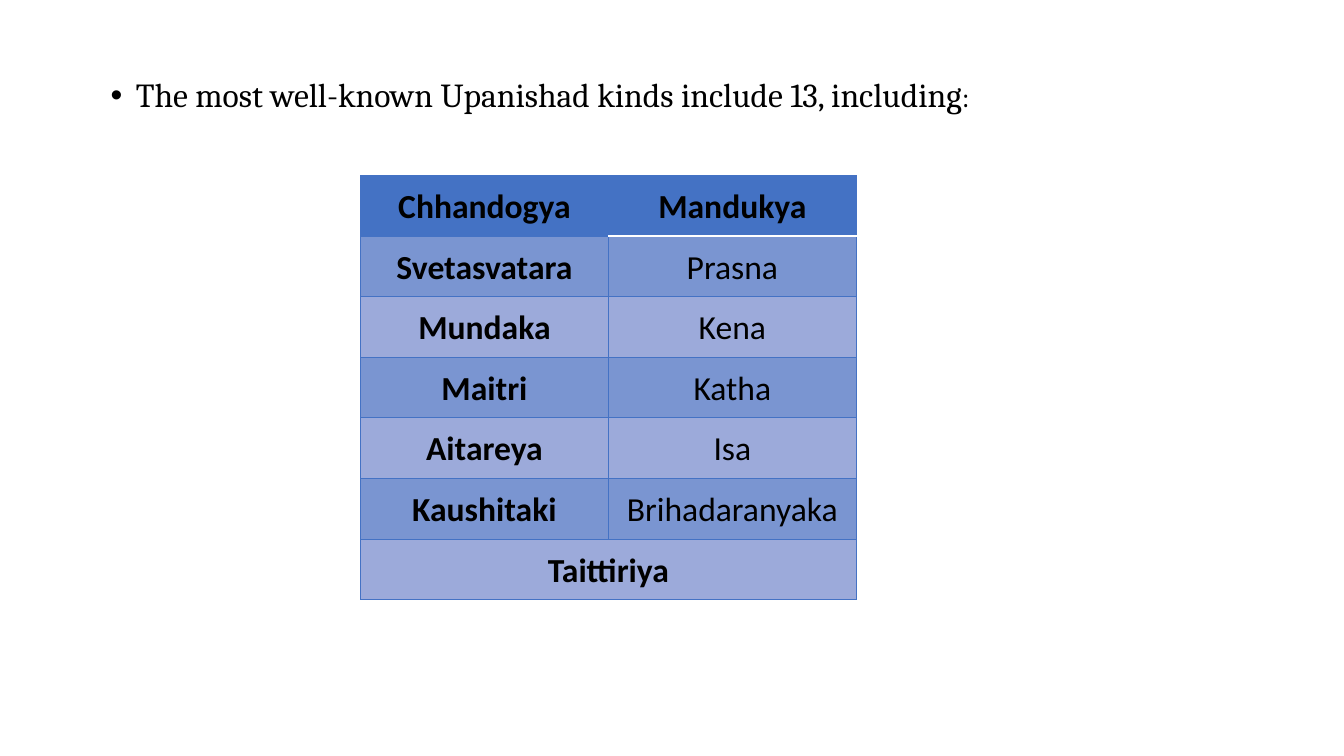
"""Build a slide that lists the best-known Upanishads in a table."""
from lxml.etree import SubElement
from pptx import Presentation
from pptx.dml.color import RGBColor
from pptx.enum.text import MSO_ANCHOR, PP_ALIGN
from pptx.oxml.ns import qn
from pptx.util import Pt

BLUE, BAND, LIGHT, WHITE, BLACK = "4472C4", "7A95D1", "9CAADA", "FFFFFF", "000000"

UPANISHADS = [
    ("Chhandogya", "Mandukya"),
    ("Svetasvatara", "Prasna"),
    ("Mundaka", "Kena"),
    ("Maitri", "Katha"),
    ("Aitareya", "Isa"),
    ("Kaushitaki", "Brihadaranyaka"),
    ("Taittiriya", ""),
]


def rgb(value):
    return RGBColor.from_string(value)


class SlideBuilder:
    def __init__(self, prs):
        self.s = prs.slides.add_slide(prs.slide_layouts[6])
        self.size = 24

    def style(self, font, name, size, bold=False):
        font.name, font.size, font.bold = name, Pt(size), bold
        font.color.rgb = rgb(BLACK)

    def bullet(self, x, y, w, h, parts):
        tf = self.s.shapes.add_textbox(Pt(x), Pt(y), Pt(w), Pt(h)).text_frame
        tf.word_wrap = True
        p = tf.paragraphs[0]
        p.line_spacing = 0.9
        pPr = p._p.get_or_add_pPr()
        pPr.set("marL", str(Pt(18)))
        pPr.set("indent", str(-Pt(18)))
        SubElement(pPr, qn("a:buFont"), typeface="Arial")
        SubElement(pPr, qn("a:buChar"), char="•")
        for text, size in parts:
            r = p.add_run()
            r.text = text
            self.style(r.font, "Cambria", size)

    def borders(self, cell, top, bottom):
        tcPr = cell._tc.get_or_add_tcPr()
        for side, color in zip("LRTB", (BLUE, BLUE, top, bottom)):
            width = Pt(1 if color == WHITE else 0.5)
            ln = SubElement(tcPr, qn(f"a:ln{side}"), w=str(width))
            SubElement(SubElement(ln, qn("a:solidFill")), qn("a:srgbClr"), val=color)

    def cell(self, cell, text, fill, bold, top, bottom):
        self.borders(cell, top, bottom)
        cell.fill.solid()
        cell.fill.fore_color.rgb = rgb(fill)
        cell.vertical_anchor = MSO_ANCHOR.MIDDLE
        cell.margin_left = cell.margin_right = Pt(12)
        cell.margin_top = cell.margin_bottom = Pt(5.76)
        if text:
            p = cell.text_frame.paragraphs[0]
            p.text = text
            p.alignment = PP_ALIGN.CENTER
            p.line_spacing = 1.07
            p.space_after = Pt(8)
            self.style(p.runs[0].font, "Calibri", self.size, bold)

    def table(self, x, y, col_w, row_h, rows):
        n, m = len(rows), len(rows[0])
        tbl = self.s.shapes.add_table(
            n, m, Pt(x), Pt(y), Pt(col_w * m), Pt(row_h * n)).table
        tbl.first_row = tbl.horz_banding = False
        for col in tbl.columns:
            col.width = Pt(col_w)
        for i, row in enumerate(rows):
            tbl.rows[i].height = Pt(row_h)
            fill = BLUE if i == 0 else BAND if i % 2 else LIGHT
            for j, text in enumerate(row):
                top = WHITE if (i, j) == (1, 1) else BLUE
                bottom = WHITE if (i, j) == (0, 1) else BLUE
                self.cell(tbl.cell(i, j), text, fill, i == 0 or j == 0, top, bottom)
        tbl.cell(n - 1, 0).merge(tbl.cell(n - 1, m - 1))


def main():
    prs = Presentation()
    prs.slide_width, prs.slide_height = Pt(960), Pt(540)
    slide = SlideBuilder(prs)
    slide.bullet(72, 52.5, 828, 343, [
        ("The most well-known Upanishad kinds include 13, including", 24), (":", 20)])
    slide.table(257.5, 125.3, 177.1, 43.3, UPANISHADS)
    prs.save("out.pptx")


if __name__ == "__main__":
    main()
